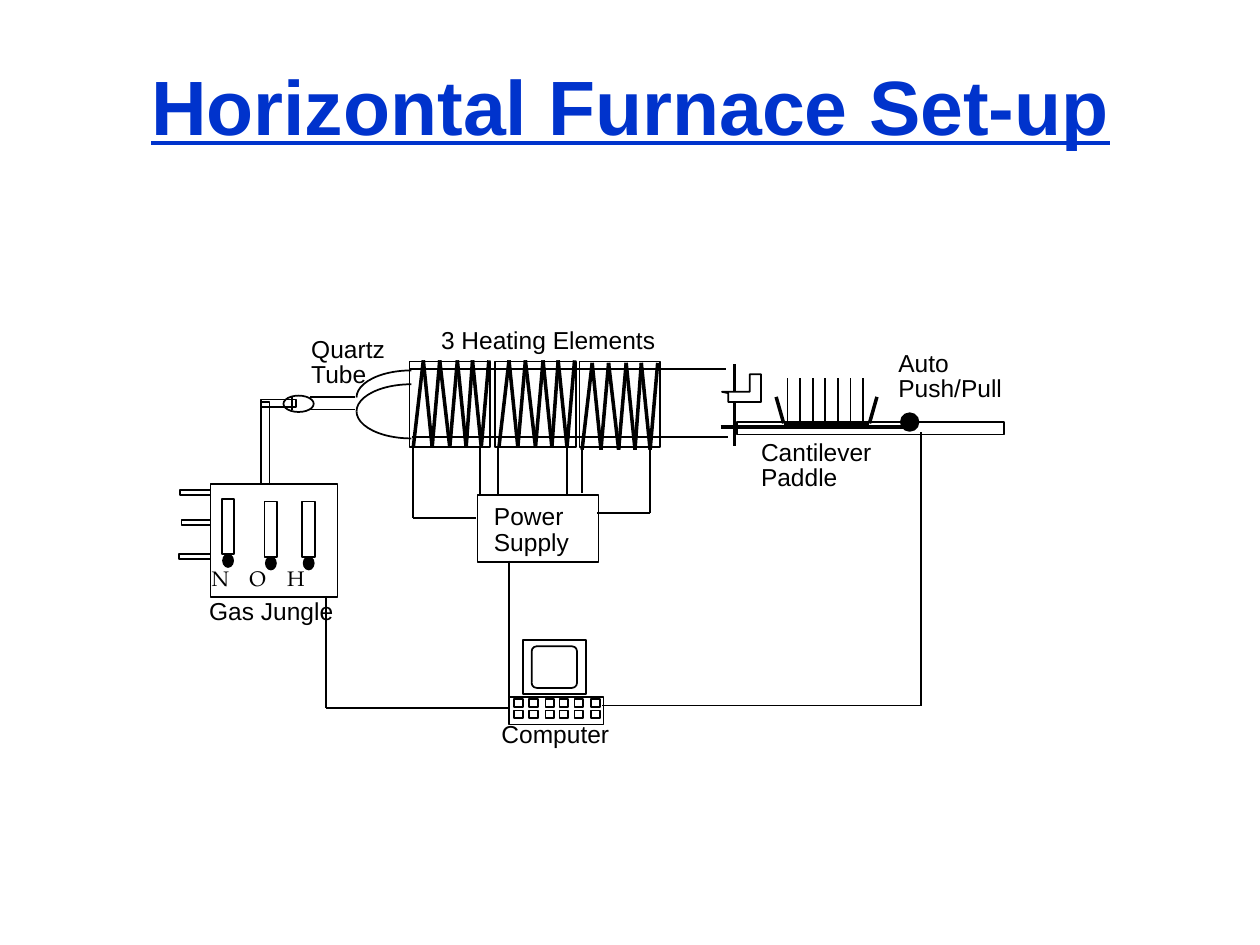
"""Build the horizontal furnace set-up slide."""
import pptx
import pptx.util
import pptx.dml.color
import pptx.enum.shapes
import pptx.enum.text
import pptx.oxml.ns
import lxml.etree

BLUE = pptx.dml.color.RGBColor(0x00, 0x33, 0xCC)
BLACK = pptx.dml.color.RGBColor(0, 0, 0)
WHITE = pptx.dml.color.RGBColor(255, 255, 255)
KIND = pptx.enum.shapes.MSO_SHAPE
INCH = pptx.util.Inches
ROW = 0.2

TITLE = "Horizontal Furnace Set-up"
LABELS = [
    (3.92, 3.98, (("Power", 0.61), ("Supply", 0.6))),
    (3.98, 5.71, (("Computer", 0.88),)),
    (6.04, 3.47, (("Cantilever", 0.93), ("Paddle", 0.63))),
    (7.13, 2.76, (("Auto", 0.46), ("Push/Pull", 0.84))),
    (3.5, 2.58, (("3 Heating Elements", 1.72),)),
    (2.47, 2.65, (("Quartz", 0.69), ("Tube", 0.48))),
    (1.66, 4.73, (("Gas Jungle", 1.02),)),
]
GASES = ("N", "O", "H")
GAP = 0.3

INLETS = [(1.42, 4.4), (1.43, 3.89), (1.44, 4.13)]
METERS = [(1.76, 3.96), (2.1, 3.98), (2.4, 3.98)]
ARCS = [(2.94, 108, 162), (3.05, 108, 162), (3.05, 54, 108)]
ZONES = [(3.25, 3.28, 0), (3.93, 3.96, 0), (4.6, 4.62, 0.02)]
TURNS = (0, 0.08, 0.15, 0.21, 0.29, 0.35, 0.42, 0.47, 0.54, 0.6)
TOP, BASE = 2.86, 3.55
KEYS = (4.08, 4.2, 4.33, 4.44, 4.56, 4.69)
HOOK = [(573, 311), (595, 311), (595, 297), (604, 297),
        (604, 319), (578, 319), (578, 312)]
TUBE = [
    [(2.46, 3.15), (2.82, 3.15)],
    [(2.46, 3.25), (2.82, 3.25)],
    [(3.25, 2.93), (5.76, 2.93)],
    [(3.27, 3.47), (5.78, 3.47)],
]
PADDLE = [
    [(5.83, 2.89), (5.83, 3.54)],
    [(5.72, 3.39), (7.19, 3.39)],
    [(6.16, 3.15), (6.22, 3.36), (6.9, 3.36), (6.96, 3.15)],
]
WIRES = [
    [(3.28, 3.51), (3.28, 4.11), (3.78, 4.11)],
    [(3.81, 3.54), (3.81, 3.93)],
    [(3.95, 3.55), (3.95, 3.93)],
    [(4.5, 3.54), (4.5, 3.93)],
    [(4.62, 3.55), (4.62, 3.91)],
    [(5.16, 3.55), (5.16, 4.07), (4.74, 4.07)],
    [(2.59, 4.73), (2.59, 5.62), (4.03, 5.62)],
    [(4.04, 4.45), (4.04, 5.53)],
    [(4.78, 5.6), (7.31, 5.6), (7.31, 3.43)],
]

deck = pptx.Presentation()
deck.slide_width, deck.slide_height = INCH(10), INCH(7.5)
slide = deck.slides.add_slide(deck.slide_layouts[5])
items = slide.shapes


def style(item, fill):
    item.shadow.inherit = False
    if fill is None:
        item.fill.background()
    else:
        item.fill.solid()
        item.fill.fore_color.rgb = fill
    item.line.color.rgb = BLACK
    item.line.width = pptx.util.Pt(1)


def draw(kind, box, fill=None):
    item = items.add_shape(kind, *map(INCH, box))
    style(item, fill)
    return item


def trace(points, width=1):
    for start, end in zip(points, points[1:]):
        line = items.add_connector(pptx.enum.shapes.MSO_CONNECTOR.STRAIGHT,
                                   *map(INCH, start + end))
        line.line.color.rgb = BLACK
        line.line.width = pptx.util.Pt(width)
        props = line._element.spPr
        lxml.etree.SubElement(props, pptx.oxml.ns.qn("a:effectLst"))


def write(left, top, wide, text, size=14, face="Arial"):
    box = items.add_textbox(*map(INCH, (left, top, wide, 0.23)))
    frame = box.text_frame
    frame.margin_left = frame.margin_right = 0
    frame.margin_top = frame.margin_bottom = 0
    frame.word_wrap = False
    frame.auto_size = pptx.enum.text.MSO_AUTO_SIZE.SHAPE_TO_FIT_TEXT
    run = frame.paragraphs[0].add_run()
    run.text = text
    run.font.size = pptx.util.Pt(size)
    run.font.name = face
    run.font.color.rgb = BLACK


def head():
    title = items.title
    title.left, title.top, title.width, title.height = map(
        INCH, (0.42, 0.25, 9.17, 1.25))
    frame = title.text_frame
    frame.vertical_anchor = pptx.enum.text.MSO_ANCHOR.MIDDLE
    para = frame.paragraphs[0]
    para.alignment = pptx.enum.text.PP_ALIGN.CENTER
    para.line_spacing = 0.9
    run = para.add_run()
    run.text = TITLE
    font = run.font
    font.name, font.size = "Arial", pptx.util.Pt(44)
    font.bold = font.underline = True
    font.color.rgb = BLUE


def furnace():
    draw(KIND.OVAL, (2.25, 3.14, 0.24, 0.13))
    for top, start, end in ARCS:
        arc = draw(KIND.ARC, (2.83, top, 0.87, 0.43))
        arc.adjustments[0], arc.adjustments[1] = start, end
    for points in TUBE:
        trace(points)
    for left, first, drop in ZONES:
        draw(KIND.RECTANGLE, (left, 2.87, 0.64, 0.68))
        coil = [(first + step, (TOP if turn % 2 else BASE) + drop)
                for turn, step in enumerate(TURNS)]
        trace(coil, 2)


def loader():
    draw(KIND.RECTANGLE, (5.85, 3.35, 2.12, 0.1), WHITE)
    trace(PADDLE[0], 2)
    pen = items.build_freeform(*HOOK[0], scale=INCH(0.01))
    pen.add_line_segments(HOOK[1:], close=True)
    style(pen.convert_to_shape(), WHITE)
    for points in PADDLE[1:]:
        trace(points, 2)
    for wafer in range(7):
        left = 6.25 + wafer * 0.1
        trace([(left, 3), (left, 3.35)])
    draw(KIND.OVAL, (7.15, 3.28, 0.14, 0.14), BLACK)


def computer():
    draw(KIND.RECTANGLE, (4.15, 5.08, 0.5, 0.43), WHITE)
    screen = draw(KIND.ROUNDED_RECTANGLE, (4.22, 5.13, 0.36, 0.33), WHITE)
    screen.adjustments[0] = 0.12
    draw(KIND.RECTANGLE, (4.04, 5.53, 0.75, 0.22), WHITE)
    for top in (5.55, 5.64):
        for left in KEYS:
            draw(KIND.RECTANGLE, (left, top, 0.07, 0.06), WHITE)


def gas():
    for left, top in INLETS:
        draw(KIND.RECTANGLE, (left, top, 0.25, 0.04))
    trace([(2.32, 3.14), (2.32, 3.25)])
    draw(KIND.RECTANGLE, (2.07, 3.17, 0.28, 0.06))
    draw(KIND.RECTANGLE, (1.67, 3.84, 1.01, 0.9), WHITE)
    for left, top in METERS:
        draw(KIND.RECTANGLE, (left, top, 0.1, 0.44), WHITE)
        draw(KIND.OVAL, (left + 0.01, top + 0.44, 0.08, 0.1), BLACK)
    draw(KIND.RECTANGLE, (2.07, 3.19, 0.07, 0.65))
    for col, name in enumerate(GASES):
        write(1.68 + col * GAP, 4.49, 0.14, name, 12, "TeX Gyre Pagella")


head()
furnace()
loader()
draw(KIND.RECTANGLE, (3.79, 3.93, 0.96, 0.53), WHITE)
computer()
gas()
for points in WIRES:
    trace(points)
for left, top, lines in LABELS:
    for row, (text, wide) in enumerate(lines):
        write(left, top + row * ROW, wide, text)
deck.save("out.pptx")
